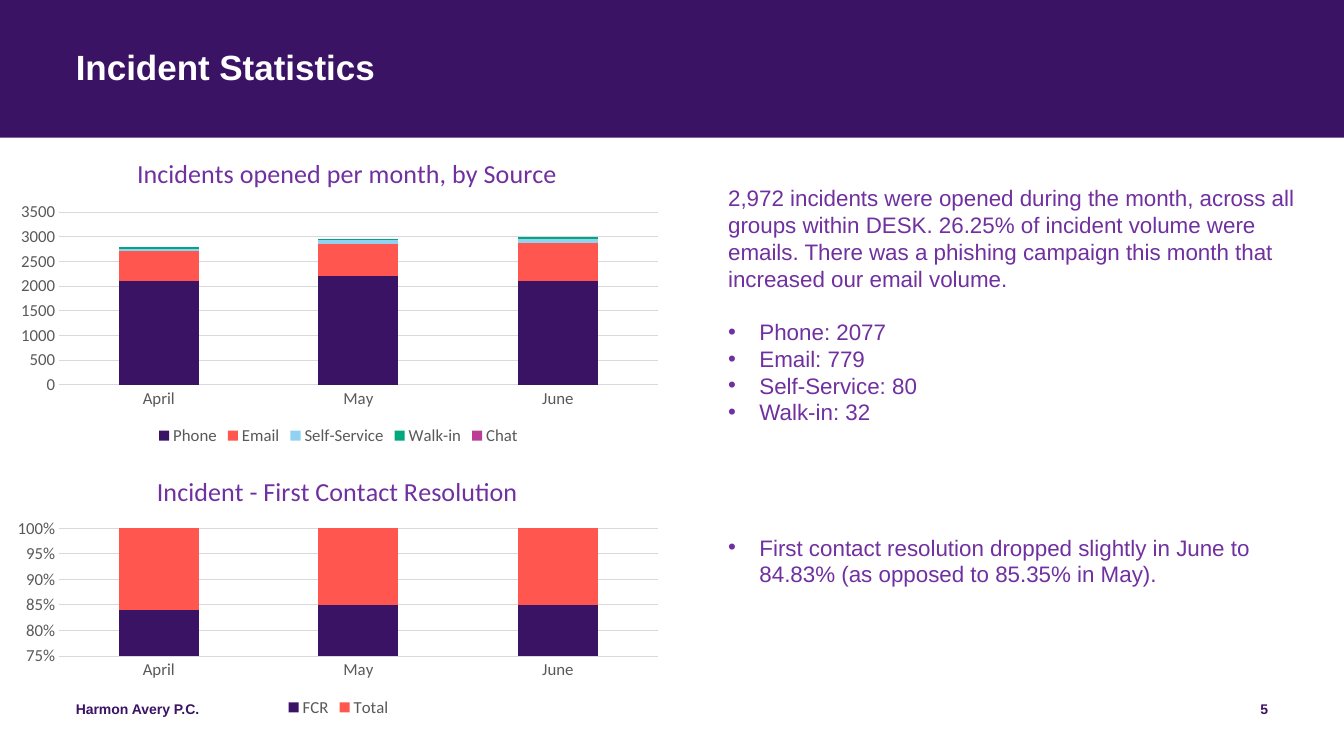
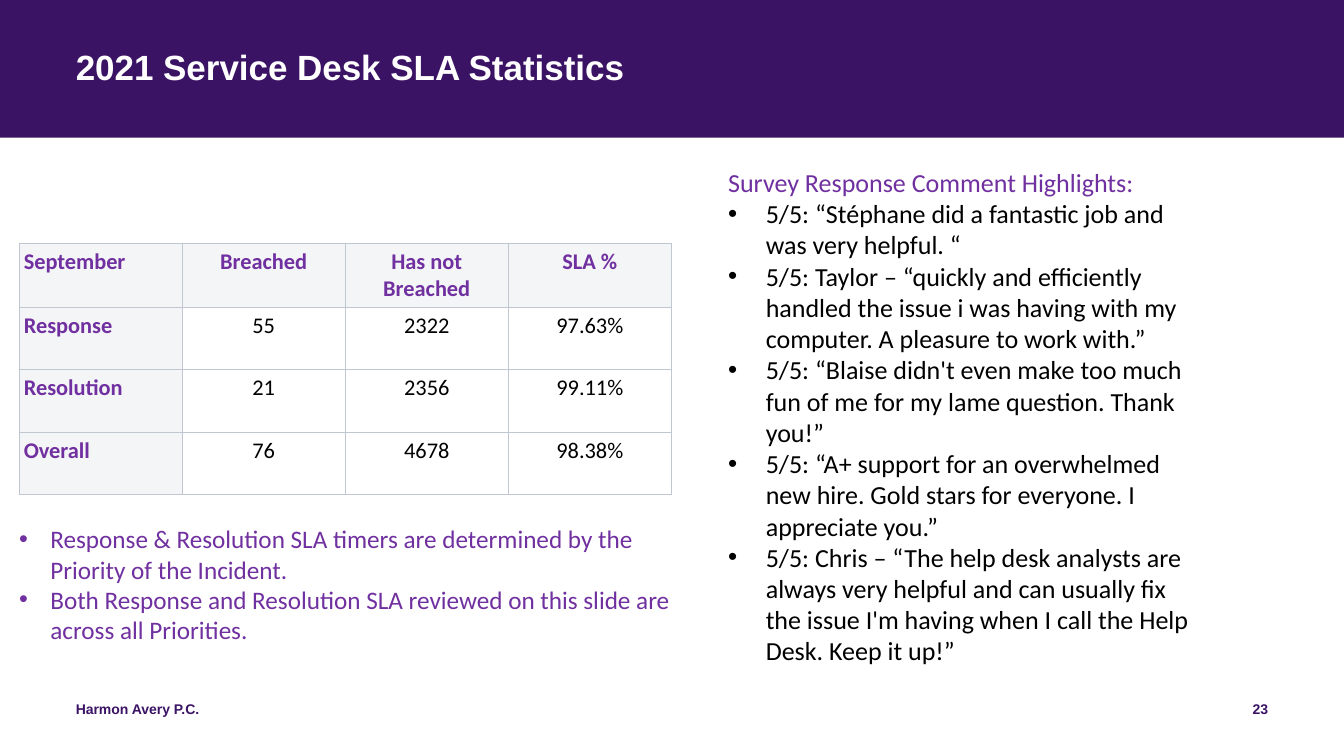
from collections import namedtuple

from lxml.etree import SubElement
from pptx import Presentation
from pptx.chart.data import CategoryChartData
from pptx.dml.color import RGBColor
from pptx.enum.chart import XL_CHART_TYPE, XL_LEGEND_POSITION, XL_TICK_MARK
from pptx.enum.shapes import MSO_SHAPE
from pptx.enum.text import PP_ALIGN
from pptx.oxml import parse_xml
from pptx.oxml.ns import nsdecls, qn
from pptx.util import Cm, Pt

INDIGO, VIOLET, WHITE, BLACK = "3B1365", "7030A0", "FFFFFF", "000000"
AXIS_TEXT, GRID_LINE = "595959", "D9D9D9"
HEADER_FILL, CELL_BORDER = "F4F5F7", "C1C7D0"
SERIES_COLORS = [INDIGO, "FF5750", "91D2F2", "00A87E", "BC3D95"]
HEADING_FONT, BODY_FONT = "Arial", "Calibri"
FIRM = "Harmon Avery P.C."
MONTHS = ["April", "May", "June"]

Box = namedtuple("Box", "left top width height")

SLIDE = Box(0, 0, 33.87, 19.05)
BAND = Box(0, 0, SLIDE.width, 3.47)
FOOTER = Box(1.91, 17.65, 30.05, 1.02)


def color(hex_string):
    return RGBColor.from_string(hex_string)


def lengths(box):
    return [Cm(value) for value in box]


def style_font(font, size, name=BODY_FONT, fill=BLACK, bold=False):
    font.size = Pt(size)
    font.name = name
    font.bold = bold
    font.color.rgb = color(fill)


def add_bullet(paragraph, indent):
    properties = paragraph._p.get_or_add_pPr()
    properties.set("marL", str(Cm(indent)))
    properties.set("indent", str(-Cm(indent)))
    SubElement(properties, qn("a:buFont")).set("typeface", "Arial")
    SubElement(properties, qn("a:buChar")).set("char", "•")


def write(paragraph, text, size=16, font=BODY_FONT, fill=BLACK, bold=False,
          align=PP_ALIGN.LEFT, bullet=None, before=0, spacing=None):
    """Fill a paragraph; bullet is the hanging indent in centimetres."""
    run = paragraph.add_run()
    run.text = text
    style_font(run.font, size, font, fill, bold)
    paragraph.alignment = align
    paragraph.space_before = Pt(before)
    if spacing:
        paragraph.line_spacing = spacing
    if bullet:
        add_bullet(paragraph, bullet)


def add_text(slide, box, items, inset=None, **shared):
    """Add a text box; each item is a text and the format that is its own."""
    frame = slide.shapes.add_textbox(*lengths(box)).text_frame
    frame.word_wrap = True
    if inset is not None:
        frame.margin_left = frame.margin_right = Cm(inset)
        frame.margin_top = frame.margin_bottom = Cm(inset)
    for index, (text, own) in enumerate(items):
        paragraph = frame.add_paragraph() if index else frame.paragraphs[0]
        write(paragraph, text, **{**shared, **own})


def add_title_band(slide, box, title):
    band = slide.shapes.add_shape(MSO_SHAPE.RECTANGLE, *lengths(box))
    band.shadow.inherit = False
    band.fill.solid()
    band.fill.fore_color.rgb = color(INDIGO)
    band.line.fill.background()
    title_box = Box(box.left + 1.91, box.top + 1.27, box.width - 3.82, 2.06)
    add_text(slide, title_box, [(title, {})], inset=0, size=25,
             font=HEADING_FONT, fill=WHITE, bold=True, spacing=0.9)


def add_footer(slide, box, number):
    number_width = 7.62
    number_left = box.left + box.width - number_width
    parts = [
        (FIRM, box._replace(width=11.43), PP_ALIGN.LEFT),
        (str(number), box._replace(left=number_left, width=number_width), PP_ALIGN.RIGHT),
    ]
    for text, part_box, align in parts:
        add_text(slide, part_box, [(text, {"align": align})], inset=0, size=10,
                 font=HEADING_FONT, fill=INDIGO, bold=True)


def add_base_slide(presentation, title, number):
    slide = presentation.slides.add_slide(presentation.slide_layouts[6])
    add_title_band(slide, BAND, title)
    add_footer(slide, FOOTER, number)
    return slide


def set_layout(parent, position, inner=False):
    """Fix the place of a chart part, in fractions of the chart."""
    layout = parent.find(qn("c:layout"))
    if layout is None:
        layout = parse_xml(f"<c:layout {nsdecls('c')}/>")
        parent.insert(0, layout)
    manual = SubElement(layout, qn("c:manualLayout"))
    settings = [("layoutTarget", "inner")] if inner else []
    settings += [("xMode", "edge"), ("yMode", "edge")]
    settings += zip("xywh", position)
    for tag, value in settings:
        SubElement(manual, qn(f"c:{tag}")).set("val", str(value))


def style_axes(chart, percent):
    category_axis, value_axis = chart.category_axis, chart.value_axis
    for axis in (category_axis, value_axis):
        axis.major_tick_mark = axis.minor_tick_mark = XL_TICK_MARK.NONE
        style_font(axis.tick_labels.font, 12, fill=AXIS_TEXT)
    value_axis.format.line.fill.background()
    for line in (category_axis.format.line, value_axis.major_gridlines.format.line):
        line.color.rgb = color(GRID_LINE)
        line.width = Pt(0.75)
    value_axis.tick_labels.number_format = "0%" if percent else "General"
    value_axis.tick_labels.number_format_is_linked = False
    value_axis.minimum_scale = 0.75 if percent else 0
    value_axis.maximum_scale = 1 if percent else 3500
    value_axis.major_unit = 0.05 if percent else 500


def add_stacked_chart(slide, box, title, series, title_at, plot_at, percent=False):
    data = CategoryChartData()
    data.categories = MONTHS
    for name, values in series.items():
        data.add_series(name, values)
    kind = XL_CHART_TYPE.COLUMN_STACKED_100 if percent else XL_CHART_TYPE.COLUMN_STACKED
    chart = slide.shapes.add_chart(kind, *lengths(box), data).chart
    style_font(chart.font, 10)

    chart.has_title = True
    write(chart.chart_title.text_frame.paragraphs[0], title, size=18.6,
          fill=VIOLET, align=PP_ALIGN.CENTER)
    set_layout(chart.chart_title._element, title_at)
    set_layout(chart._chartSpace.chart.plotArea, plot_at, inner=True)

    chart.has_legend = True
    chart.legend.position = XL_LEGEND_POSITION.BOTTOM
    chart.legend.include_in_layout = False
    style_font(chart.legend.font, 12, fill=AXIS_TEXT)
    style_axes(chart, percent)

    plot = chart.plots[0]
    plot.gap_width, plot.overlap, plot.vary_by_categories = 150, 100, False
    for column, fill in zip(plot.series, SERIES_COLORS):
        column.format.fill.solid()
        column.format.fill.fore_color.rgb = color(fill)


def add_borders(cell):
    properties = cell._tc.get_or_add_tcPr()
    for side in "LRTB":
        line = SubElement(properties, qn(f"a:ln{side}"), w=str(Pt(0.5)))
        SubElement(SubElement(line, qn("a:solidFill")), qn("a:srgbClr"), val=CELL_BORDER)


def add_sla_table(slide, box, rows):
    shape = slide.shapes.add_table(len(rows), len(rows[0]), *lengths(box))
    table = shape.table
    table.first_row = table.horz_banding = False
    for row_index, texts in enumerate(rows):
        table.rows[row_index].height = Cm(box.height / len(rows))
        for column_index, text in enumerate(texts):
            cell = table.cell(row_index, column_index)
            is_header = row_index == 0 or column_index == 0
            cell.margin_left = cell.margin_right = Cm(0.12)
            cell.margin_top = cell.margin_bottom = Cm(0.13)
            add_borders(cell)
            if is_header:
                cell.fill.solid()
                cell.fill.fore_color.rgb = color(HEADER_FILL)
            else:
                cell.fill.background()
            write(cell.text_frame.paragraphs[0], text, size=16, bold=is_header,
                  fill=VIOLET if is_header else BLACK,
                  align=PP_ALIGN.CENTER if column_index else PP_ALIGN.LEFT)


def build_incident_slide(presentation):
    slide = add_base_slide(presentation, "Incident Statistics", 5)
    add_stacked_chart(
        slide, Box(0.15, 3.56, 16.76, 7.77), "Incidents opened per month, by Source",
        {
            "Phone": [2100, 2200, 2100],
            "Email": [610, 660, 780],
            "Self-Service": [50, 70, 80],
            "Walk-in": [30, 30, 30],
            "Chat": [0, 0, 0],
        },
        title_at=(0.19, 0.03), plot_at=(0.08, 0.23, 0.9, 0.56))
    add_stacked_chart(
        slide, Box(0.15, 11.6, 16.76, 6.58), "Incident - First Contact Resolution",
        {"FCR": [84, 85, 85], "Total": [16, 15, 15]},
        title_at=(0.22, 0.03), plot_at=(0.08, 0.26, 0.9, 0.49), percent=True)

    line = 19.1
    bullet = {"bullet": 0.79}
    add_text(slide, Box(18.1, 4.53, 15.62, 13), [
        ("2,972 incidents were opened during the month, across all groups within "
         "DESK. 26.25% of incident volume were emails. There was a phishing campaign "
         "this month that increased our email volume.", {}),
        ("Phone: 2077", {**bullet, "before": line}),
        ("Email: 779", bullet),
        ("Self-Service: 80", bullet),
        ("Walk-in: 32", bullet),
        ("First contact resolution dropped slightly in June to 84.83% "
         "(as opposed to 85.35% in May).", {**bullet, "before": 4 * line + 1}),
    ], size=16, font=HEADING_FONT, fill=VIOLET, spacing=Pt(line))


def build_sla_slide(presentation):
    slide = add_base_slide(presentation, "2021 Service Desk SLA Statistics", 23)
    add_sla_table(slide, Box(0.48, 6.12, 16.44, 6.3), [
        ["September", "Breached", "Has not Breached", "SLA %"],
        ["Response", "55", "2322", "97.63%"],
        ["Resolution", "21", "2356", "99.11%"],
        ["Overall", "76", "4678", "98.38%"],
    ])
    add_text(slide, Box(0.23, 13.07, 16.97, 3.33), [
        ("Response & Resolution SLA timers are determined by the Priority of the "
         "Incident.", {}),
        ("Both Response and Resolution SLA reviewed on this slide are across all "
         "Priorities.", {}),
    ], size=18, fill=VIOLET, bullet=0.79)

    comments = [
        "5/5: “Stéphane did a fantastic job and was very helpful. “",
        "5/5: Taylor – “quickly and efficiently handled the issue i was having with "
        "my computer. A pleasure to work with.”",
        "5/5: “Blaise didn't even make too much fun of me for my lame question. "
        "Thank you!”",
        "5/5: “A+ support for an overwhelmed new hire. Gold stars for everyone. "
        "I appreciate you.”",
        "5/5: Chris – “The help desk analysts are always very helpful and can "
        "usually fix the issue I'm having when I call the Help Desk. Keep it up!”",
    ]
    heading = ("Survey Response Comment Highlights:", {"fill": VIOLET})
    add_text(slide, Box(18.1, 4.07, 12.47, 13.4),
             [heading] + [(comment, {"bullet": 0.95}) for comment in comments],
             size=18.6, spacing=Pt(22.3))


def main():
    presentation = Presentation()
    presentation.slide_width = Cm(SLIDE.width)
    presentation.slide_height = Cm(SLIDE.height)
    build_incident_slide(presentation)
    build_sla_slide(presentation)
    presentation.save("out.pptx")


if __name__ == "__main__":
    main()
